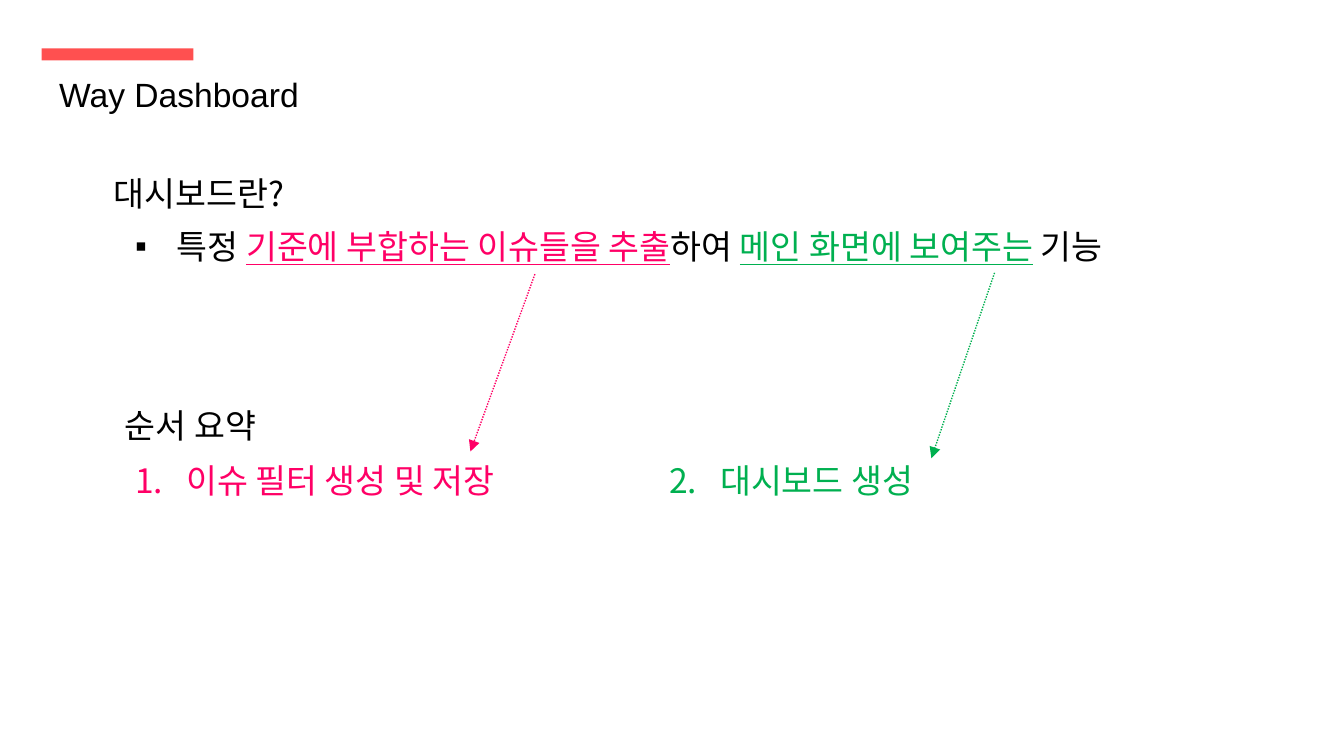
from dataclasses import dataclass
from typing import Optional

from lxml.etree import SubElement
from pptx import Presentation
from pptx.dml.color import RGBColor
from pptx.enum.dml import MSO_LINE
from pptx.enum.shapes import MSO_CONNECTOR, MSO_SHAPE
from pptx.enum.text import MSO_ANCHOR, MSO_AUTO_SIZE, PP_ALIGN
from pptx.oxml.ns import qn
from pptx.util import Inches, Pt

CORAL = RGBColor(0xFF, 0x50, 0x50)
PINK = RGBColor(0xFF, 0x00, 0x66)
GREEN = RGBColor(0x00, 0xB0, 0x50)
BLACK = RGBColor(0, 0, 0)
KOREAN = "Noto Sans CJK KR"
WIDTH = Inches(10)
HEIGHT = WIDTH * 9 // 16
ROW = 7.12  # height of one text line, percent of the slide

FRAME_FORMAT = {
    "word_wrap": True,
    "auto_size": MSO_AUTO_SIZE.NONE,
    "vertical_anchor": MSO_ANCHOR.TOP,
}
PARA_FORMAT = {
    "alignment": PP_ALIGN.LEFT,
    "space_before": Pt(0),
    "space_after": Pt(0),
    "line_spacing": 1.0,
}


@dataclass
class Place:
    """A rectangle in percent of the slide's width and height."""
    left: float
    top: float
    width: float
    height: float = ROW

    def box(self) -> tuple:
        return (across(self.left), down(self.top),
                across(self.width), down(self.height))


@dataclass
class Span:
    text: str
    color: RGBColor = BLACK
    underline: bool = False


@dataclass
class Bullet:
    indent: float
    character: str = ""
    start: int = 1


@dataclass
class Line:
    place: Place
    spans: list
    holder: Optional[int] = None  # placeholder index; None makes a text box
    bullet: Optional[Bullet] = None
    font: str = KOREAN
    inset: tuple = (0.1, 0.05)


@dataclass
class Arrow:
    start: tuple
    end: tuple
    color: RGBColor


def across(percent: float) -> int:
    return int(WIDTH * percent / 100)


def down(percent: float) -> int:
    return int(HEIGHT * percent / 100)


def apply(target, values: dict) -> None:
    for name, value in values.items():
        setattr(target, name, value)


def set_bullet(para, bullet: Optional[Bullet]) -> None:
    properties = para._p.get_or_add_pPr()
    indent = Inches(bullet.indent) if bullet else 0
    properties.set("marL", str(indent))
    properties.set("indent", str(-indent))
    if bullet is None:
        SubElement(properties, qn("a:buNone"))
    elif bullet.character:
        SubElement(properties, qn("a:buFont"), typeface="Arial")
        SubElement(properties, qn("a:buChar"), char=bullet.character)
    else:
        SubElement(properties, qn("a:buFont"), typeface=KOREAN)
        SubElement(properties, qn("a:buAutoNum"), type="arabicPeriod",
                   startAt=str(bullet.start))


def draw_line(page, line: Line) -> None:
    if line.holder is None:
        box = page.shapes.add_textbox(*line.place.box())
    else:
        box = page.placeholders[line.holder]
        names = ("left", "top", "width", "height")
        apply(box, dict(zip(names, line.place.box())))
    side, edge = (Inches(value) for value in line.inset)
    apply(box.text_frame, FRAME_FORMAT | {
        "margin_left": side, "margin_right": side,
        "margin_top": edge, "margin_bottom": edge})
    para = box.text_frame.paragraphs[0]
    apply(para, PARA_FORMAT)
    set_bullet(para, line.bullet)
    for span in line.spans:
        run = para.add_run()
        run.text = span.text
        apply(run.font, {"size": Pt(18), "bold": False, "name": line.font,
                         "underline": span.underline})
        run.font.color.rgb = span.color
        properties = run._r.get_or_add_rPr()
        properties.set("kern", "0")
        SubElement(properties, qn("a:ea"), typeface=line.font)


def draw_bar(page, place: Place, color: RGBColor) -> None:
    bar = page.shapes.add_shape(MSO_SHAPE.RECTANGLE, *place.box())
    bar.shadow.inherit = False
    bar.fill.solid()
    bar.fill.fore_color.rgb = color
    bar.line.fill.background()


def draw_arrow(page, arrow: Arrow) -> None:
    (x1, y1), (x2, y2) = arrow.start, arrow.end
    connector = page.shapes.add_connector(
        MSO_CONNECTOR.STRAIGHT, across(x1), down(y1), across(x2), down(y2))
    connector.line.color.rgb = arrow.color
    apply(connector.line, {"width": Pt(0.75),
                           "dash_style": MSO_LINE.ROUND_DOT})
    SubElement(connector.line._get_or_add_ln(), qn("a:tailEnd"),
               type="triangle")
    SubElement(connector._element.spPr, qn("a:effectLst"))


LINES = [
    # Title
    Line(Place(3.7, 9, 28.2, 6.76), [Span("Way Dashboard")], holder=0,
         font="Arial", inset=(0.07, 0.04)),
    # What a dashboard is
    Line(Place(7.45, 22.04, 41.7), [Span("대시보드란?")], holder=1),
    Line(Place(9.05, 28.98, 84.3), [
        Span("특정 "),
        Span("기준에 부합하는 이슈들을 추출", PINK, True),
        Span("하여 "),
        Span("메인 화면에 보여주는", GREEN, True),
        Span(" 기능"),
    ], holder=2, bullet=Bullet(0.31, "▪")),
    # Summary of the steps
    Line(Place(8.3, 52.62, 41.7), [Span("순서 요약")], holder=3),
    Line(Place(9.05, 59.91, 39), [Span("이슈 필터 생성 및 저장", PINK)],
         holder=4, bullet=Bullet(0.38)),
    Line(Place(48.8, 59.91, 33.5), [Span("대시보드 생성", GREEN)],
         bullet=Bullet(0.38, start=2)),
]
ARROWS = [
    Arrow((39.8, 36.27), (35, 59.73), PINK),
    Arrow((74, 36.09), (69.3, 60.62), GREEN),
]


def main() -> None:
    deck = Presentation()
    apply(deck, {"slide_width": WIDTH, "slide_height": HEIGHT})
    page = deck.slides.add_slide(deck.slide_layouts.get_by_name("Comparison"))
    draw_bar(page, Place(3.1, 6.4, 11.3, 1.6), CORAL)
    for line in LINES:
        draw_line(page, line)
    for arrow in ARROWS:
        draw_arrow(page, arrow)
    deck.save("out.pptx")


if __name__ == "__main__":
    main()
